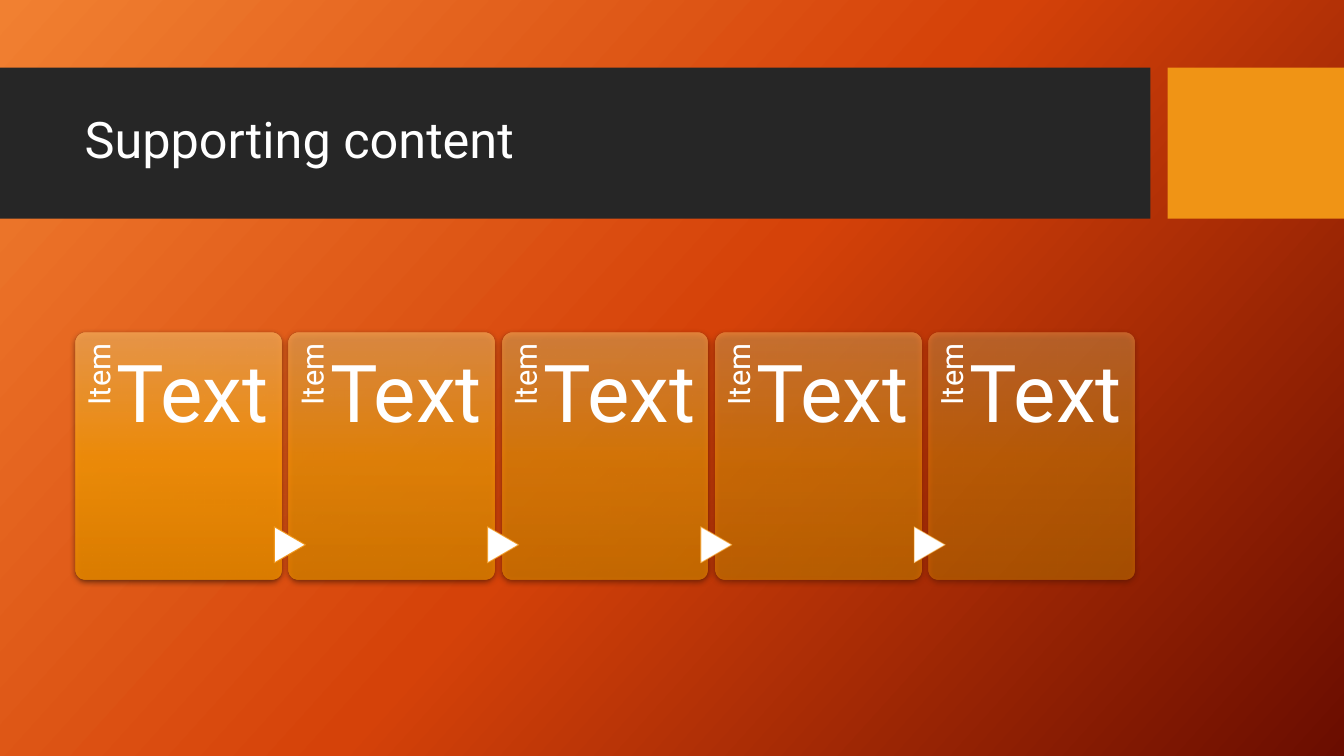
from lxml import etree
from pptx import Presentation
from pptx import util as u
from pptx.dml.color import RGBColor
from pptx.enum import shapes, text
from pptx.oxml.ns import qn

WHITE = RGBColor(0xFF, 0xFF, 0xFF)
DARK = RGBColor(0x26, 0x26, 0x26)
GOLD = RGBColor(0xF0, 0x94, 0x15)
BLACK = RGBColor(0, 0, 0)
BACK = [RGBColor(0xF1, 0x80, 0x31), RGBColor(0xD5, 0x42, 0x09), RGBColor(0x6A, 0x0D, 0x00)]
CARD = [RGBColor(0xF4, 0xA0, 0x50), RGBColor(0xFB, 0x96, 0x0A), RGBColor(0xE8, 0x86, 0x00)]
KIND = shapes.MSO_SHAPE
ALIGN = text.PP_ALIGN


def add(parent, tag, **attrs):
    return etree.SubElement(parent, qn(tag), {k: str(v) for k, v in attrs.items()})


def fade(color, alpha):
    add(color, "a:alpha", val=round(alpha * 1000))


class Deck:
    font = "Roboto"
    ink = WHITE

    def __init__(self):
        self.prs = Presentation()
        self.prs.slide_width = u.Inches(13.33)
        self.prs.slide_height = u.Inches(7.5)
        self.slide = self.prs.slides.add_slide(self.prs.slide_layouts[5])

    def blend(self, fill, root, colors, angle, alpha=100):
        fill.gradient()
        grad = next(root.iter(qn("a:gradFill")))
        stops = grad.find(qn("a:gsLst"))
        for old in list(stops):
            stops.remove(old)
        for pos, color in zip((0, 50, 100), colors):
            stop = add(stops, "a:gs", pos=pos * 1000)
            fade(add(stop, "a:srgbClr", val=color), alpha)
        grad.find(qn("a:lin")).set("ang", str(angle * 60000))

    def shape(self, kind, box, color=None):
        item = self.slide.shapes.add_shape(kind, *map(u.Inches, box))
        item.shadow.inherit = False
        item.line.fill.background()
        if color is not None:
            item.fill.solid()
            item.fill.fore_color.rgb = color
        return item

    def words(self, frame, line, size, align=ALIGN.LEFT):
        frame.word_wrap = True
        frame.auto_size = text.MSO_AUTO_SIZE.NONE
        par = frame.paragraphs[0]
        par.alignment = align
        par.line_spacing = 0.9
        run = par.add_run()
        run.text = line
        run.font.name = self.font
        run.font.size = u.Pt(size)
        run.font.color.rgb = self.ink

    def title(self, box, line):
        item = self.slide.shapes.title
        item.left, item.top, item.width, item.height = map(u.Inches, box)
        item.text_frame.vertical_anchor = text.MSO_ANCHOR.MIDDLE
        self.words(item.text_frame, line, 36)
        item.element.getparent().append(item.element)

    def label(self, box, line, size, top, right=0, turn=0, align=ALIGN.LEFT):
        item = self.slide.shapes.add_textbox(*map(u.Inches, box))
        item.rotation = turn
        frame = item.text_frame
        frame.margin_left = frame.margin_bottom = 0
        frame.margin_top = u.Inches(top)
        frame.margin_right = u.Inches(right)
        frame.vertical_anchor = text.MSO_ANCHOR.TOP
        self.words(frame, line, size, align)

    def card(self, box, alpha):
        item = self.shape(KIND.ROUNDED_RECTANGLE, box)
        item.adjustments[0] = 0.05
        self.blend(item.fill, item.element, CARD, 90, alpha)
        glow = next(item.element.iter(qn("a:effectLst")))
        cast = add(glow, "a:outerShdw", blurRad=u.Pt(4.5), dist=u.Pt(1.5),
                   dir=90 * 60000, algn="ctr", rotWithShape=0)
        fade(add(cast, "a:srgbClr", val=BLACK), 63)

    def arrow(self, box, alpha):
        item = self.shape(KIND.FLOWCHART_EXTRACT, box, WHITE)
        item.rotation = 90
        item.line.color.rgb = GOLD
        item.line.width = u.Pt(0.75)
        edge = next(item.element.iter(qn("a:ln")))
        fade(next(edge.iter(qn("a:srgbClr"))), alpha)


def main():
    deck = Deck()
    deck.blend(deck.slide.background.fill, deck.slide.element, BACK, 42)
    deck.shape(KIND.RECTANGLE, (0, 0.67, 11.41, 1.5), DARK)
    deck.shape(KIND.RECTANGLE, (11.58, 0.67, 1.75, 1.5), GOLD)
    deck.title((0.74, 0.82, 10.51, 1.18), "Supporting content")

    first, last, count = 0.75, 9.21, 5
    step = (last - first) / (count - 1)
    for i in range(count):
        left = first + i * step
        deck.card((left, 3.3, 2.04, 2.45), 90 - 10 * i)
        deck.label((left - 0.8, 4.1, 2.01, 0.41), "Item", 22, 0.08, 0.11,
                   270, ALIGN.RIGHT)
        if i:
            deck.arrow((left - 0.17, 5.25, 0.36, 0.31), 90 - 40 * (i - 1) / 3)
        deck.label((left + 0.41, 3.3, 1.52, 2.45), "Text", 57, 0.21)

    deck.prs.save("out.pptx")


if __name__ == "__main__":
    main()
